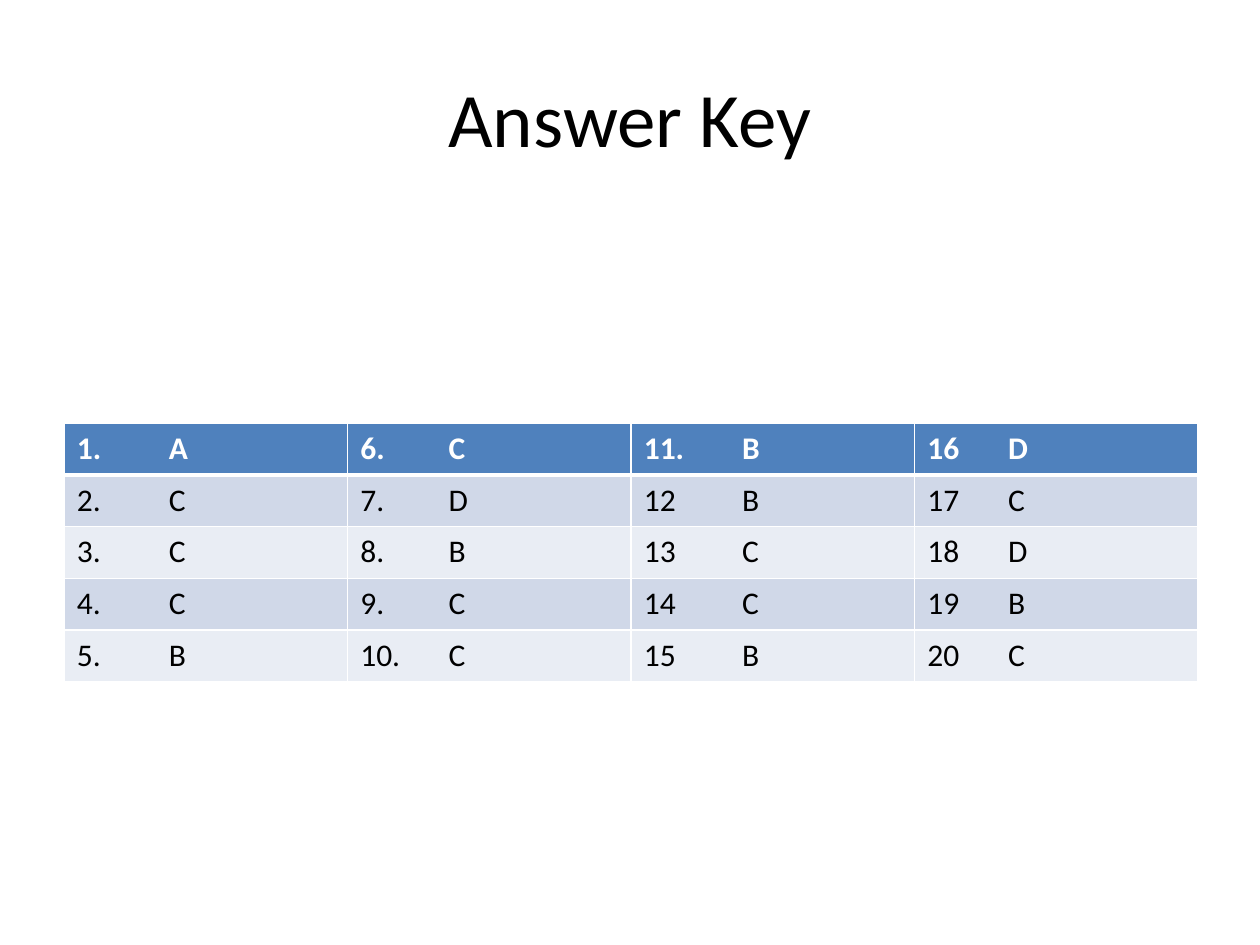
"""Build the answer key slide: a title and a table of twenty answers."""
from lxml import etree
from pptx import Presentation
from pptx.dml.color import RGBColor
from pptx.enum.text import MSO_ANCHOR, PP_ALIGN
from pptx.oxml.ns import qn
from pptx.util import Inches, Pt

CENTER = PP_ALIGN.CENTER
MIDDLE = MSO_ANCHOR.MIDDLE
FONT = "Calibri"
COLORS = {
    "header": "4F81BD",
    "odd": "D0D8E8",
    "even": "E9EDF4",
    "border": "FFFFFF",
    "light_text": "FFFFFF",
    "dark_text": "000000",
}

TITLE = "Answer Key"
ANSWERS = [
    [("1.", "A"), ("6.", "C"), ("11.", "B"), ("16", "D")],
    [("2.", "C"), ("7.", "D"), ("12", "B"), ("17", "C")],
    [("3.", "C"), ("8.", "B"), ("13", "C"), ("18", "D")],
    [("4.", "C"), ("9.", "C"), ("14", "C"), ("19", "B")],
    [("5.", "B"), ("10.", "C"), ("15", "B"), ("20", "C")],
]
ANSWER_STOPS = [0.73, 0.7, 0.78, 0.64]
COLUMN_WIDTH = 2.25
ROW_HEIGHT = 0.41


def format_text(paragraph, size, color, bold=False):
    for run in paragraph.runs:
        run.font.name = FONT
        run.font.size = Pt(size)
        run.font.bold = bold
        run.font.color.rgb = RGBColor.from_string(COLORS[color])


def add_tab_stop(paragraph, position):
    properties = paragraph._p.get_or_add_pPr()
    stops = etree.SubElement(properties, qn("a:tabLst"))
    etree.SubElement(stops, qn("a:tab"), pos=str(Inches(position)), algn="l")


def add_borders(cell, widths):
    properties = cell._tc.get_or_add_tcPr()
    for side, width in widths.items():
        line = etree.SubElement(properties, qn(f"a:ln{side}"), w=str(Pt(width)))
        fill = etree.SubElement(line, qn("a:solidFill"))
        etree.SubElement(fill, qn("a:srgbClr"), val=COLORS["border"])


def add_title(slide):
    box = slide.shapes.add_textbox(Inches(0.5), Inches(0.3), Inches(9), Inches(1.25))
    frame = box.text_frame
    frame.word_wrap = True
    frame.vertical_anchor = MIDDLE
    frame.text = TITLE
    frame.paragraphs[0].alignment = CENTER
    format_text(frame.paragraphs[0], 44, "dark_text")


def add_answer_table(slide):
    row_count, column_count = len(ANSWERS), len(ANSWERS[0])
    table = slide.shapes.add_table(
        row_count, column_count, Inches(0.51), Inches(3.36),
        Inches(COLUMN_WIDTH * column_count), Inches(ROW_HEIGHT * row_count),
    ).table
    for column in table.columns:
        column.width = Inches(COLUMN_WIDTH)
    for row_index, answers in enumerate(ANSWERS):
        table.rows[row_index].height = Inches(ROW_HEIGHT)
        is_header = row_index == 0
        fill = "header" if is_header else "odd" if row_index % 2 else "even"
        widths = {"L": 1, "R": 1, "T": 3 if row_index == 1 else 1, "B": 3 if is_header else 1}
        for column_index, (number, answer) in enumerate(answers):
            cell = table.cell(row_index, column_index)
            add_borders(cell, widths)
            cell.fill.solid()
            cell.fill.fore_color.rgb = RGBColor.from_string(COLORS[fill])
            cell.text_frame.text = f"{number}\t{answer}"
            paragraph = cell.text_frame.paragraphs[0]
            add_tab_stop(paragraph, ANSWER_STOPS[column_index])
            format_text(paragraph, 18, "light_text" if is_header else "dark_text", is_header)


presentation = Presentation()
presentation.slide_width = Inches(10)
presentation.slide_height = Inches(7.5)
slide = presentation.slides.add_slide(presentation.slide_layouts[6])
add_title(slide)
add_answer_table(slide)
presentation.save("out.pptx")
